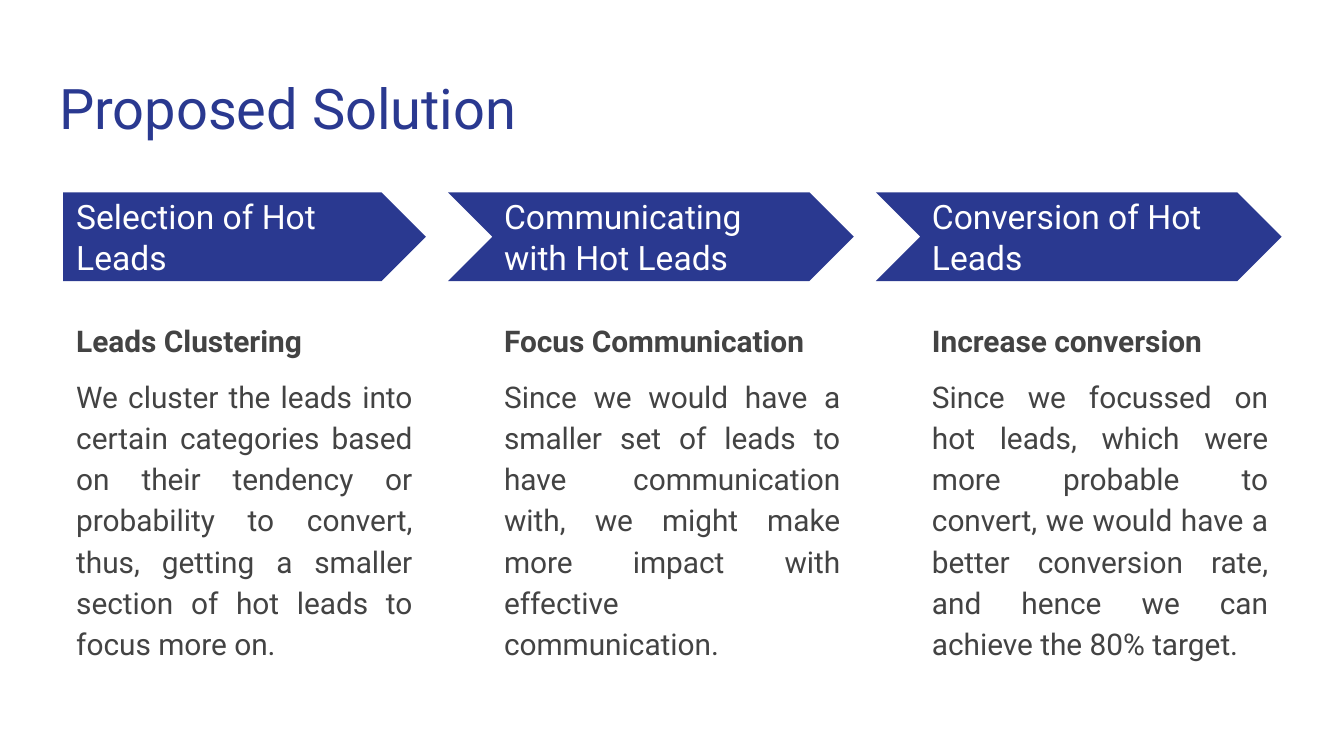
from pptx import Presentation
from pptx.dml.color import RGBColor
from pptx.enum.shapes import MSO_SHAPE as Shape
from pptx.enum.text import MSO_ANCHOR as Anchor, PP_ALIGN as Align
from pptx.util import Pt

COLORS = {"navy": "2A3990", "white": "FFFFFF", "gray": "434343"}
FONT = "Roboto"
TITLE = "Proposed Solution"
STEPS = [
    ("Selection of Hot Leads", "Leads Clustering",
     "We cluster the leads into certain categories based on their tendency or "
     "probability to convert, thus, getting a smaller section of hot leads to "
     "focus more on."),
    ("Communicating with Hot Leads", "Focus Communication",
     "Since we would have a smaller set of leads to have communication with, "
     "we might make more impact with effective communication."),
    ("Conversion of Hot Leads", "Increase conversion",
     "Since we focussed on hot leads, which were more probable to convert, we "
     "would have a better conversion rate, and hence we can achieve the 80% "
     "target."),
]

LEFT, PITCH, COLUMN_W = 33.8, 229.2, 194.4
ARROW_TOP, ARROW_H, CHEVRON_W = 103, 47.6, 217.4
LABEL_TOP, LABEL_W, LABEL_H = 114.5, 177.8, 24.5
BODY_TOP, BODY_H = 162.7, 208.8
INSET = 7.2


def rgb(name):
    return RGBColor.from_string(COLORS[name])


def setup_frame(sp, anchor=Anchor.TOP):
    tf = sp.text_frame
    tf.word_wrap = True
    tf.vertical_anchor = anchor
    tf.margin_left = tf.margin_right = Pt(INSET)
    tf.margin_top = tf.margin_bottom = Pt(INSET)
    return tf


def write(p, text, size, color, bold=False, align=Align.LEFT, line=1.0, gap=0):
    p.alignment = align
    p.line_spacing = line
    p.space_before = p.space_after = Pt(gap)
    r = p.add_run()
    r.text = text
    r.font.name = FONT
    r.font.size = Pt(size)
    r.font.bold = bold
    r.font.color.rgb = rgb(color)


def add_arrow(s, preset, left, width):
    sp = s.shapes.add_shape(preset, Pt(left), Pt(ARROW_TOP), Pt(width), Pt(ARROW_H))
    sp.adjustments[0] = 0.5
    sp.shadow.inherit = False
    sp.fill.solid()
    sp.fill.fore_color.rgb = rgb("navy")
    sp.line.fill.background()


def add_text(s, left, top, width, height, anchor=Anchor.TOP):
    sp = s.shapes.add_textbox(Pt(left), Pt(top), Pt(width), Pt(height))
    return setup_frame(sp, anchor)


prs = Presentation()
prs.slide_width, prs.slide_height = Pt(720), Pt(405)
s = prs.slides.add_slide(prs.slide_layouts[5])

title = s.shapes.title
title.left, title.top, title.width, title.height = Pt(24.5), Pt(32.4), Pt(671), Pt(47.5)
write(setup_frame(title).paragraphs[0], TITLE, 30, "navy")

for i, (label, heading, body) in enumerate(STEPS):
    left = LEFT + i * PITCH
    width = CHEVRON_W if i else COLUMN_W
    preset = Shape.CHEVRON if i else Shape.PENTAGON
    add_arrow(s, preset, left + COLUMN_W - width, width)

    tf = add_text(s, left, LABEL_TOP, LABEL_W, LABEL_H, Anchor.MIDDLE)
    write(tf.paragraphs[0], label, 18, "white")

    tf = add_text(s, left, BODY_TOP, COLUMN_W, BODY_H)
    write(tf.paragraphs[0], heading, 16, "gray", bold=True, line=1.15)
    write(tf.add_paragraph(), body, 16, "gray", align=Align.JUSTIFY, line=1.15, gap=8)

prs.save("out.pptx")
